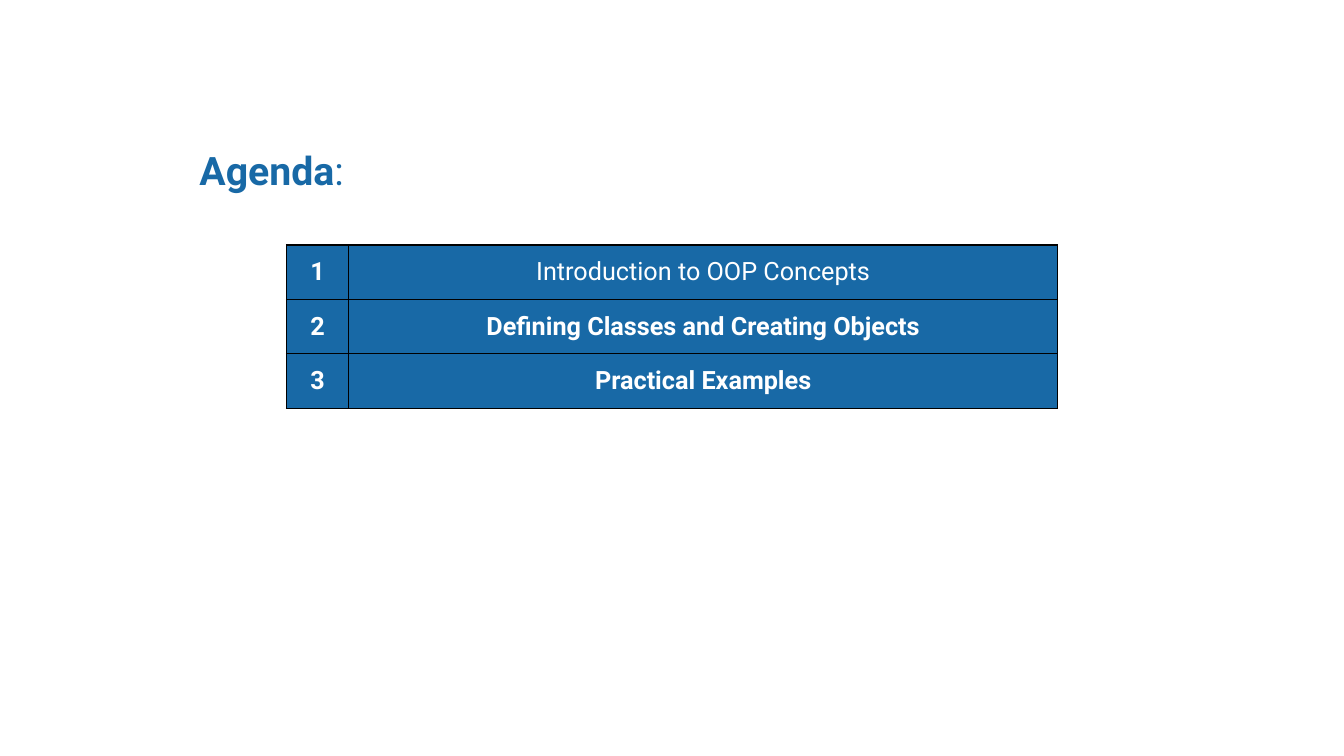
"""Builds the agenda slide: a heading above a numbered table of topics."""
from dataclasses import dataclass

import lxml.etree
import pptx
import pptx.dml.color
import pptx.enum.text
import pptx.oxml.ns
import pptx.util

HEADING = [("Agenda", True), (":", False)]
TOPICS = [
    ("Introduction to OOP Concepts", False),
    ("Defining Classes and Creating Objects", True),
    ("Practical Examples", True),
]
SLIDE_W, SLIDE_H = 13.33, 7.5
HEADING_BOX = (1.88, 1.4, 1.91, 0.57)
TABLE_LEFT, TABLE_TOP = 2.84, 2.43
COLUMNS = (0.62, 7.03)
ROW_H = 0.54


@dataclass(frozen=True)
class Theme:
    font: str = "Roboto"
    blue: str = "1869A6"
    white: str = "FFFFFF"
    border: str = "000000"
    heading_size: int = 28
    topic_size: int = 18
    border_width: int = 1


THEME = Theme()


def inches(*lengths):
    return [pptx.util.Inches(length) for length in lengths]


def add_run(p, text, bold, size, color):
    r = p.add_run()
    r.text = text
    r.font.name = THEME.font
    r.font.size = pptx.util.Pt(size)
    r.font.bold = bold
    r.font.color.rgb = pptx.dml.color.RGBColor.from_string(color)


def add_borders(cell):
    qn = pptx.oxml.ns.qn
    props = cell._tc.get_or_add_tcPr()
    width = str(pptx.util.Pt(THEME.border_width))
    for index, side in enumerate(("lnL", "lnR", "lnT", "lnB")):
        line = lxml.etree.Element(qn(f"a:{side}"), w=width)
        fill = lxml.etree.SubElement(line, qn("a:solidFill"))
        lxml.etree.SubElement(fill, qn("a:srgbClr"), val=THEME.border)
        props.insert(index, line)


def fill_cell(cell, text, bold):
    cell.fill.solid()
    cell.fill.fore_color.rgb = pptx.dml.color.RGBColor.from_string(THEME.blue)
    cell.vertical_anchor = pptx.enum.text.MSO_ANCHOR.MIDDLE
    p = cell.text_frame.paragraphs[0]
    p.alignment = pptx.enum.text.PP_ALIGN.CENTER
    add_run(p, text, bold, THEME.topic_size, THEME.white)
    add_borders(cell)


def add_heading(s):
    tf = s.shapes.add_textbox(*inches(*HEADING_BOX)).text_frame
    tf.word_wrap = True
    tf.auto_size = pptx.enum.text.MSO_AUTO_SIZE.SHAPE_TO_FIT_TEXT
    for text, bold in HEADING:
        add_run(tf.paragraphs[0], text, bold, THEME.heading_size, THEME.blue)


def add_topics(s):
    frame = inches(TABLE_LEFT, TABLE_TOP, sum(COLUMNS), ROW_H * len(TOPICS))
    table = s.shapes.add_table(len(TOPICS), len(COLUMNS), *frame).table
    for column, width in zip(table.columns, inches(*COLUMNS)):
        column.width = width
    for row, (topic, bold) in enumerate(TOPICS):
        fill_cell(table.cell(row, 0), str(row + 1), True)
        fill_cell(table.cell(row, 1), topic, bold)


def main():
    prs = pptx.Presentation()
    prs.slide_width, prs.slide_height = inches(SLIDE_W, SLIDE_H)
    s = prs.slides.add_slide(prs.slide_layouts[6])
    add_heading(s)
    add_topics(s)
    prs.save("out.pptx")


if __name__ == "__main__":
    main()
